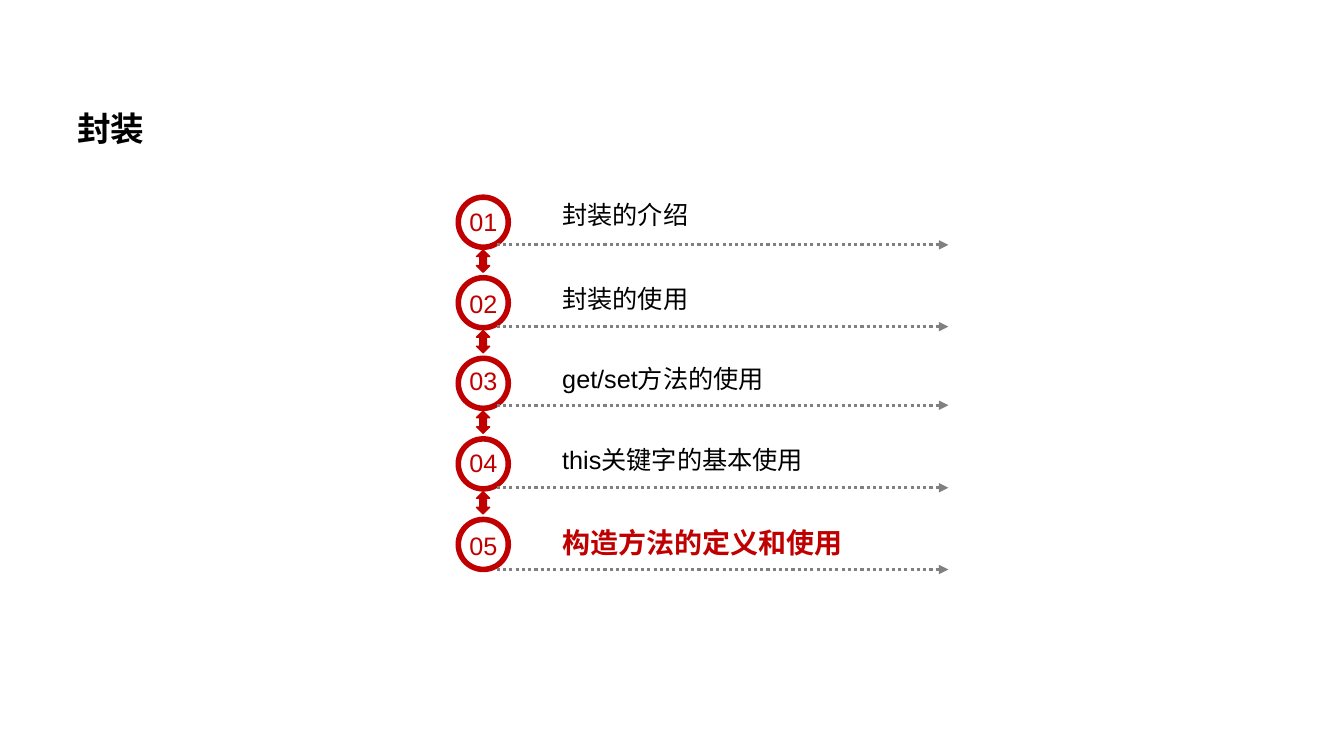
import pptx
import pptx.dml.color
import pptx.enum.dml
import pptx.enum.shapes
import pptx.enum.text
import pptx.oxml.ns
import pptx.util
from lxml import etree
from pptx.util import Cm

RED = pptx.dml.color.RGBColor(0xC0, 0x00, 0x00)
GRAY = pptx.dml.color.RGBColor(0x80, 0x80, 0x80)
BLACK = pptx.dml.color.RGBColor(0x00, 0x00, 0x00)
SHAPES = pptx.enum.shapes.MSO_SHAPE

STEP = 2.03  # distance between two rings in cm

# Label, then tops of number, label and dotted line in cm
TOPICS = [
    ("封装的介绍", 5.08, 4.90, 6.17),
    ("封装的使用", 7.14, 7.01, 8.23),
    ("get/set方法的使用", 9.07, 9.04, 10.21),
    ("this关键字的基本使用", 11.15, 11.07, 12.29),
    ("构造方法的定义和使用", 13.23, 13.11, 14.35),
]


def add_text(slide, text, left, top, width, height, *, size=18, color=BLACK,
             bold=False, wrap=True, line_spacing=None):
    box = slide.shapes.add_textbox(Cm(left), Cm(top), Cm(width), Cm(height))
    box.text_frame.word_wrap = wrap
    paragraph = box.text_frame.paragraphs[0]
    paragraph.line_spacing = line_spacing
    run = paragraph.add_run()
    run.text = text
    run.font.name = "Arial"
    run.font.size = pptx.util.Pt(size)
    run.font.bold = bold
    run.font.color.rgb = color


def add_red_shape(slide, kind, left, top, width, height):
    shape = slide.shapes.add_shape(kind, Cm(left), Cm(top), Cm(width), Cm(height))
    shape.shadow.inherit = False
    shape.fill.solid()
    shape.fill.fore_color.rgb = RED
    return shape


def add_ring(slide, top):
    ring = add_red_shape(slide, SHAPES.DONUT, 11.48, top, 1.4, 1.4)
    ring.adjustments[0] = 0.1
    ring.line.fill.background()


def add_double_arrow(slide, top):
    arrow = add_red_shape(slide, SHAPES.UP_DOWN_ARROW, 12.01, top, 0.33, 0.56)
    arrow.line.color.rgb = RED
    arrow.line.width = pptx.util.Pt(1)


def add_dotted_arrow(slide, top):
    connector = slide.shapes.add_connector(
        pptx.enum.shapes.MSO_CONNECTOR.STRAIGHT,
        Cm(12.52), Cm(top), Cm(23.9), Cm(top))
    connector.line.color.rgb = GRAY
    connector.line.width = pptx.util.Pt(2.25)
    connector.line.dash_style = pptx.enum.dml.MSO_LINE.ROUND_DOT
    # Arrowhead, and no shadow
    properties = connector.element.spPr
    line = properties.find(pptx.oxml.ns.qn("a:ln"))
    etree.SubElement(line, pptx.oxml.ns.qn("a:tailEnd"), type="triangle")
    etree.SubElement(properties, pptx.oxml.ns.qn("a:effectLst"))


def main():
    presentation = pptx.Presentation()
    presentation.slide_width = Cm(33.87)
    presentation.slide_height = Cm(19.05)
    slide = presentation.slides.add_slide(presentation.slide_layouts[6])

    # Title
    add_text(slide, "封装", 1.7, 2.08, 29.82, 2.82,
             size=24, bold=True, line_spacing=1.5)

    # Numbered topics, the last one highlighted
    last = len(TOPICS) - 1
    for index, (label, number_top, label_top, line_top) in enumerate(TOPICS):
        current = index == last
        add_ring(slide, 4.9 + index * STEP)
        add_text(slide, f"{index + 1:02}", 11.58, number_top, 1.22, 1.02,
                 color=RED, wrap=False)
        add_dotted_arrow(slide, line_top)
        add_text(slide, label, 13.92, label_top, 10.06, 1.11 if current else 1.02,
                 size=20 if current else 18, bold=current,
                 color=RED if current else BLACK)
        if not current:
            add_double_arrow(slide, 6.3 + index * STEP)

    presentation.save("out.pptx")


if __name__ == "__main__":
    main()
